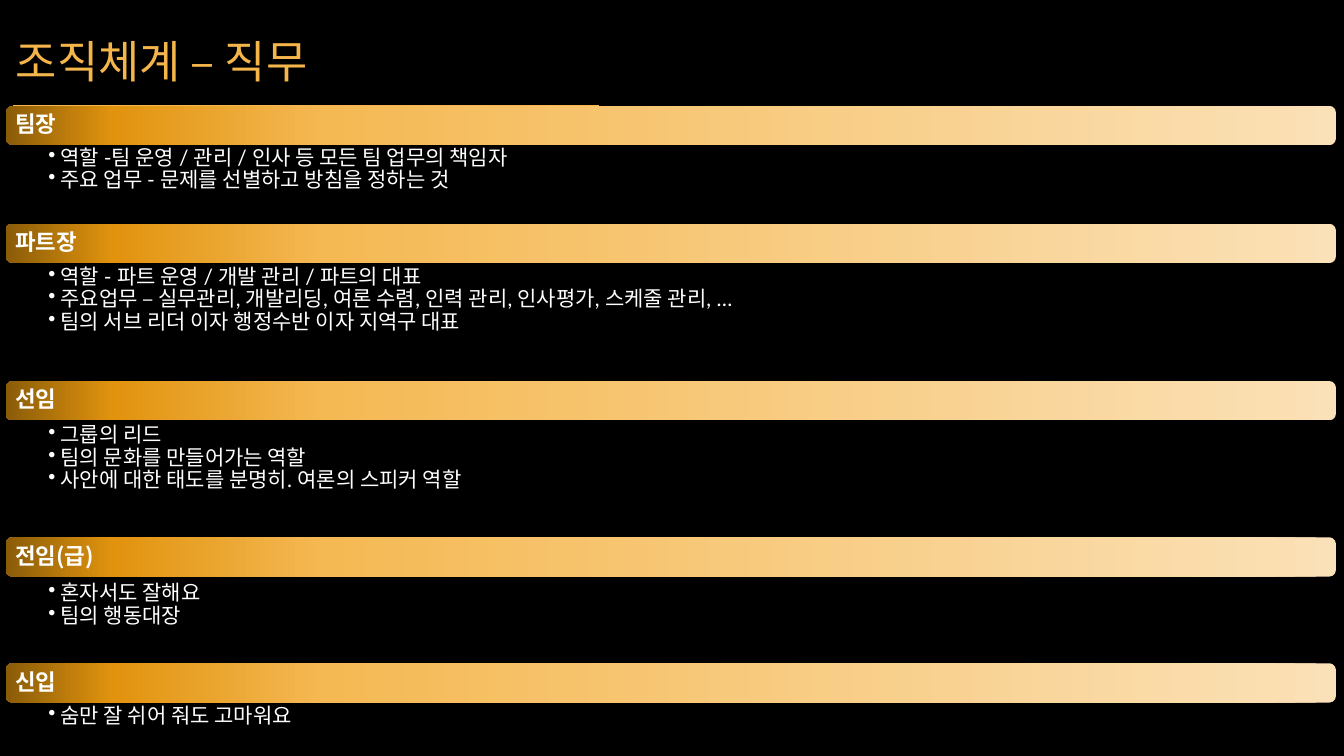
from dataclasses import dataclass

from lxml import etree
from pptx import Presentation
from pptx import util as u
from pptx.dml.color import RGBColor
from pptx.enum import shapes, text
from pptx.oxml import ns


@dataclass(frozen=True)
class Theme:
    background: str = "000000"
    accent: str = "F4B54B"
    body: str = "FFFFFF"
    bar_stops: tuple = ((0, "FBE1B7"), (76, "F5B954"), (92, "E1930E"), (100, "8A5C08"))
    title_font: str = "TeX Gyre Adventor"
    header_font: str = "Noto Sans CJK KR"
    body_font: str = "Lato"
    korean_font: str = "Noto Sans CJK KR"
    title_size: int = 32
    header_size: int = 16
    body_size: int = 15


@dataclass(frozen=True)
class Role:
    name: str
    top: float
    body_top: float
    body_height: float
    duties: tuple[str, ...]


THEME = Theme()
LEFT, WIDTH, BAR_HEIGHT = 0.06, 13.19, 0.39
BAR_PAD = 0.02
BULLET_INDENT = 0.12

ROLES = (
    Role("팀장", 1.05, 1.43, 0.77, (
        "역할 -팀 운영 / 관리 / 인사 등 모든 팀 업무의 책임자",
        "주요 업무 - 문제를 선별하고 방침을 정하는 것")),
    Role("파트장", 2.22, 2.61, 1.18, (
        "역할 - 파트 운영 / 개발 관리 / 파트의 대표",
        "주요업무 – 실무관리, 개발리딩, 여론 수렴, 인력 관리, 인사평가, 스케줄 관리, …",
        "팀의 서브 리더 이자 행정수반 이자 지역구 대표")),
    Role("선임", 3.78, 4.18, 1.18, (
        "그룹의 리드",
        "팀의 문화를 만들어가는 역할",
        "사안에 대한 태도를 분명히. 여론의 스피커 역할")),
    Role("전임(급)", 5.33, 5.75, 0.77, ("혼자서도 잘해요", "팀의 행동대장")),
    Role("신입", 6.58, 6.97, 0.39, ("숨만 잘 쉬어 줘도 고마워요",)),
)


def add_text_frame(s, left: float, top: float, width: float, height: float,
                   insets: tuple, anchor):
    """Add a wrapping text box; insets run left, top, right, bottom."""
    sp = s.shapes.add_textbox(*map(u.Inches, (left, top, width, height)))
    tf = sp.text_frame
    tf.word_wrap = True
    tf.vertical_anchor = anchor
    (tf.margin_left, tf.margin_top,
     tf.margin_right, tf.margin_bottom) = map(u.Inches, insets)
    return tf


def add_run(p, content: str, font: str, size: int, color: str, bold: bool = False) -> None:
    r = p.add_run()
    r.text = content
    r.font.name, r.font.size, r.font.bold = font, u.Pt(size), bold
    r.font.color.rgb = RGBColor.from_string(color)
    etree.SubElement(r.font._element, ns.qn("a:ea"), typeface=THEME.korean_font)


def fill_bar(sp) -> None:
    """Give the bar its four-stop gradient, running from right to left."""
    sp.fill.gradient()
    grad = sp._element.spPr.find(ns.qn("a:gradFill"))
    stops = grad.find(ns.qn("a:gsLst"))
    for stop in list(stops):
        stops.remove(stop)
    for position, color in THEME.bar_stops:
        stop = etree.SubElement(stops, ns.qn("a:gs"), pos=str(position * 1000))
        etree.SubElement(stop, ns.qn("a:srgbClr"), val=color)
    grad.find(ns.qn("a:lin")).set("ang", str(180 * 60000))


def add_bullet(p) -> None:
    pPr = p._p.get_or_add_pPr()
    indent = u.Inches(BULLET_INDENT)
    pPr.set("marL", str(indent))
    pPr.set("indent", str(-indent))
    etree.SubElement(pPr, ns.qn("a:buChar"), char="•")


def draw_title(s) -> None:
    tf = add_text_frame(s, LEFT, 0, 10.03, 1.21, (0.1, 0.05, 0.1, 0.05),
                        text.MSO_ANCHOR.MIDDLE)
    add_run(tf.paragraphs[0], "조직체계 – 직무", THEME.title_font,
            THEME.title_size, THEME.accent)
    rule = s.shapes.add_connector(shapes.MSO_CONNECTOR.STRAIGHT,
                                  *map(u.Inches, (0.13, 1.05, 5.94, 1.05)))
    rule.line.color.rgb = RGBColor.from_string(THEME.accent)
    rule.line.width = u.Pt(0.75)
    etree.SubElement(rule._element.spPr, ns.qn("a:effectLst"))


def draw_role(s, role: Role) -> None:
    bar = s.shapes.add_shape(shapes.MSO_SHAPE.ROUNDED_RECTANGLE,
                             *map(u.Inches, (LEFT, role.top, WIDTH, BAR_HEIGHT)))
    bar.shadow.inherit = False
    bar.line.fill.background()
    fill_bar(bar)

    tf = add_text_frame(s, LEFT + BAR_PAD, role.top + BAR_PAD, WIDTH - 2 * BAR_PAD,
                        BAR_HEIGHT - 2 * BAR_PAD, (0.07,) * 4, text.MSO_ANCHOR.MIDDLE)
    p = tf.paragraphs[0]
    p.line_spacing = 0.9
    add_run(p, role.name, THEME.header_font, THEME.header_size, THEME.body, bold=True)

    tf = add_text_frame(s, LEFT, role.body_top, WIDTH, role.body_height,
                        (0.42, 0.03, 0.15, 0.03), text.MSO_ANCHOR.TOP)
    for i, duty in enumerate(role.duties):
        p = tf.add_paragraph() if i else tf.paragraphs[0]
        p.level = 1
        p.line_spacing = 0.9
        add_bullet(p)
        add_run(p, duty, THEME.body_font, THEME.body_size, THEME.body)


def main() -> None:
    prs = Presentation()
    prs.slide_width, prs.slide_height = u.Inches(13.33), u.Inches(7.5)
    s = prs.slides.add_slide(prs.slide_layouts[6])
    s.background.fill.solid()
    s.background.fill.fore_color.rgb = RGBColor.from_string(THEME.background)
    draw_title(s)
    for role in ROLES:
        draw_role(s, role)
    prs.save("out.pptx")


if __name__ == "__main__":
    main()
